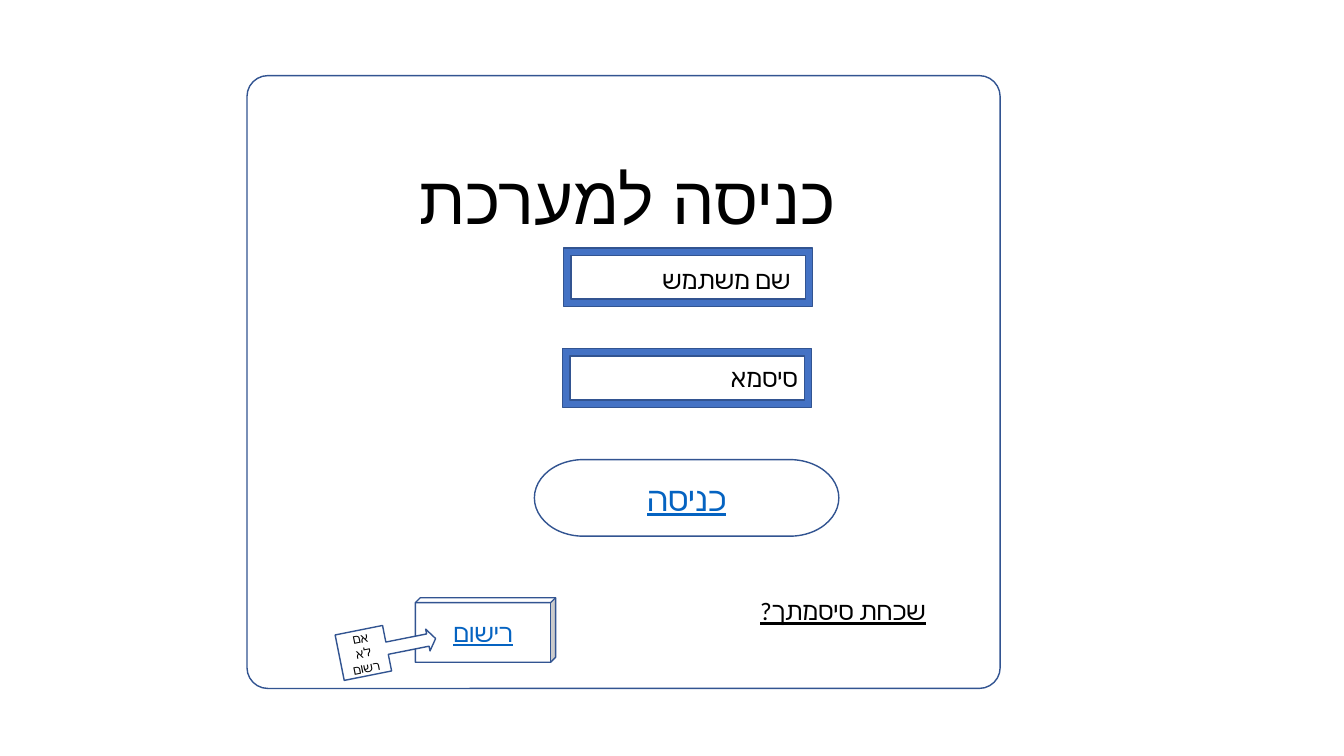
from lxml import etree
from pptx import Presentation
from pptx.dml.color import RGBColor
from pptx.enum.shapes import MSO_SHAPE
from pptx.enum.text import MSO_ANCHOR, PP_ALIGN
from pptx.oxml.ns import qn
from pptx.util import Inches, Pt

ROUND = MSO_SHAPE.ROUNDED_RECTANGLE
PILL = MSO_SHAPE.FLOWCHART_TERMINATOR
CUBE = MSO_SHAPE.CUBE
CALLOUT = MSO_SHAPE.RIGHT_ARROW_CALLOUT
FRAME = MSO_SHAPE.FRAME
MIDDLE, TOP = MSO_ANCHOR.MIDDLE, MSO_ANCHOR.TOP
CENTER, RIGHT = PP_ALIGN.CENTER, PP_ALIGN.RIGHT

WHITE, BLACK, BLUE = "FFFFFF", "000000", "4472C4"
EDGE, LINK = "325491", "0563C1"

deck = Presentation()
deck.slide_width, deck.slide_height = Inches(13.33), Inches(7.5)
slide = deck.slides.add_slide(deck.slide_layouts[6])


def add_shape(kind, box, fill=WHITE, adjust=()):
    shape = slide.shapes.add_shape(kind, *map(Inches, box))
    shape.shadow.inherit = False
    shape.fill.solid()
    shape.fill.fore_color.rgb = RGBColor.from_string(fill)
    shape.line.color.rgb = RGBColor.from_string(EDGE)
    shape.line.width = Pt(1)
    for i, value in enumerate(adjust):
        shape.adjustments[i] = value
    return shape


def write(shape, text, size, color=BLACK, align=CENTER, anchor=MIDDLE,
          name="Calibri", under=None):
    """Put one right-to-left paragraph into the shape."""
    frame = shape.text_frame
    frame.word_wrap = True
    frame.vertical_anchor = anchor
    para = frame.paragraphs[0]
    para.text = text
    para.alignment = align
    para._p.get_or_add_pPr().set("rtl", "1")
    font = para.font
    font.size, font.name, font.underline = Pt(size), name, under
    font.color.rgb = RGBColor.from_string(color)
    # Hebrew takes its typeface from the complex-script element
    etree.SubElement(font._element, qn("a:cs"), typeface=name)
    return para


add_shape(ROUND, (2.45, 0.75, 7.47, 6.08), adjust=[0.034])

title = slide.shapes.add_textbox(*map(Inches, (-2.15, 1.64, 10.54, 0.75)))
write(title, "כניסה למערכת", 48, align=RIGHT, name="Arial").line_spacing = 0.9

enter = add_shape(PILL, (5.3, 4.56, 3.02, 0.76))
write(enter, "כניסה", 24, LINK, under=True)

signup = add_shape(CUBE, (4.12, 5.93, 1.39, 0.64), adjust=[0.076])
write(signup, "רישום", 18, LINK, under=True)

hint = add_shape(CALLOUT, (3.36, 6.2, 0.97, 0.46),
                 adjust=[0.27, 0.24, 0.171, 0.494])
hint.rotation = 348.7
write(hint, "אם לא רשום", 9)

for left, top in [(5.59, 2.46), (5.58, 3.46)]:
    add_shape(FRAME, (left, top, 2.47, 0.58), BLUE)

labels = [
    ("שם משתמש", 5.76, 2.57, 2.18, None),
    ("סיסמא", 5.59, 3.55, 2.42, None),
    ("שכחת סיסמתך?", 7.4, 5.86, 1.88, True),
]
for text, left, top, width, under in labels:
    label = slide.shapes.add_textbox(*map(Inches, (left, top, width, 0.4)))
    write(label, text, 18, align=RIGHT, anchor=TOP, under=under)

deck.save("out.pptx")
